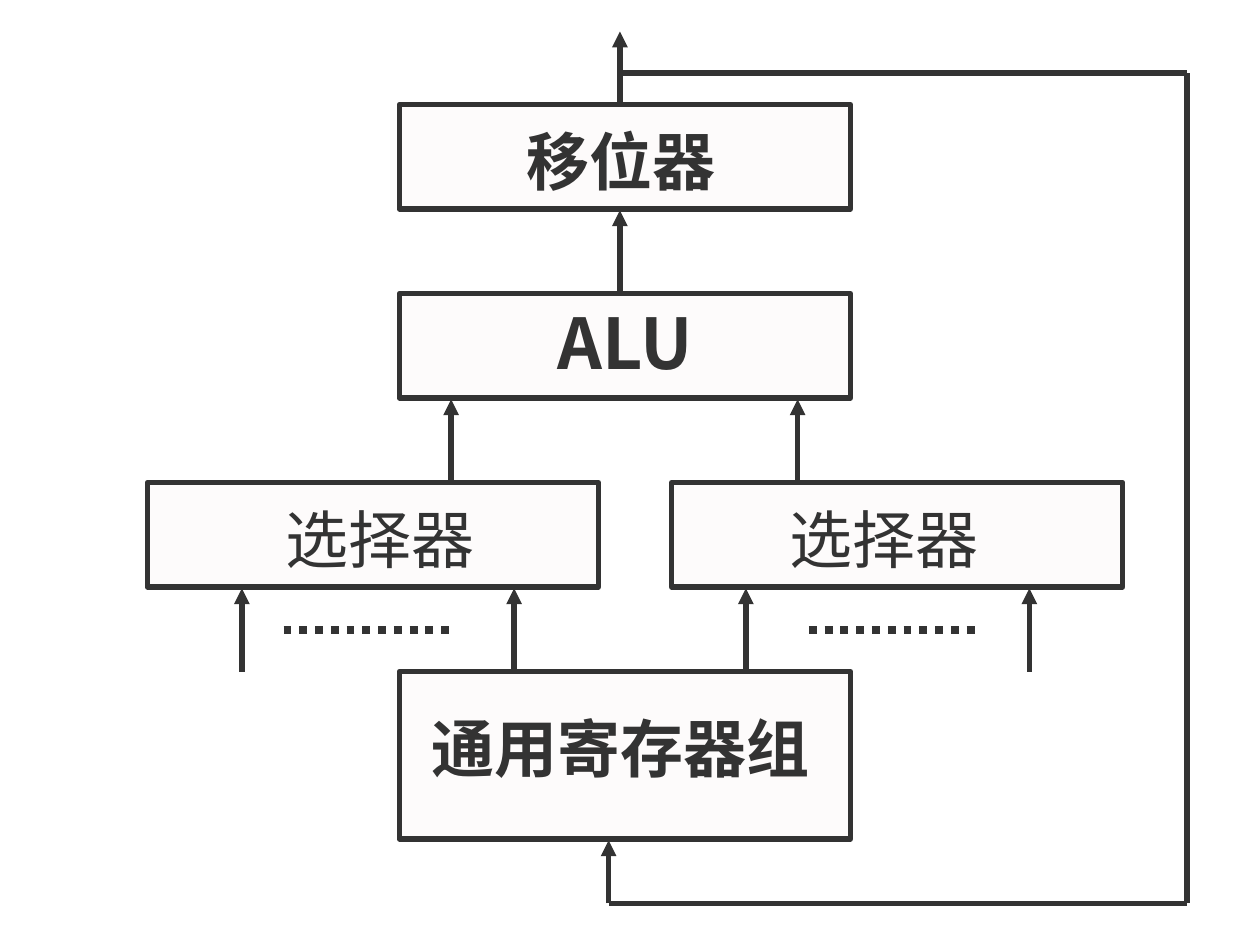
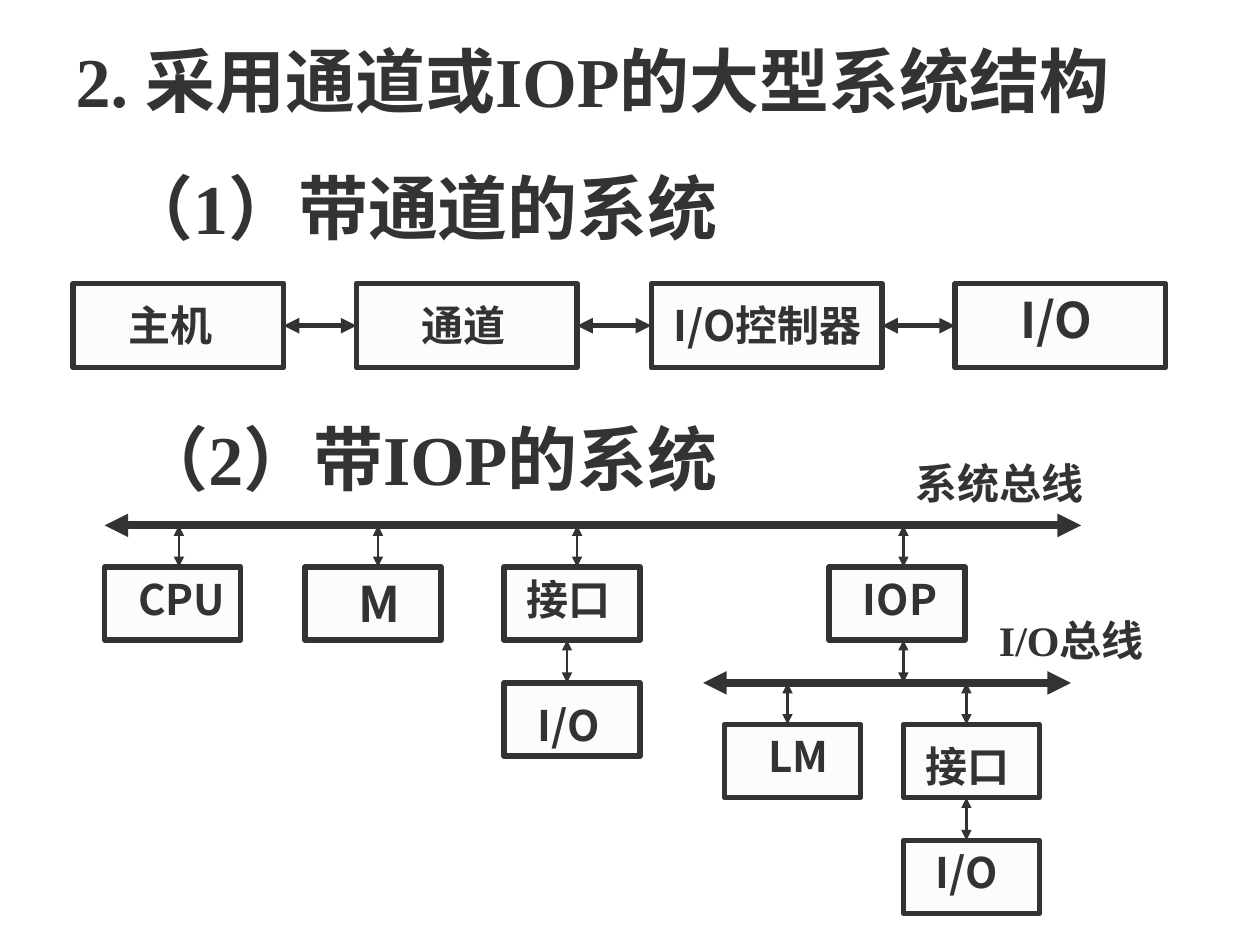
from lxml import etree
from pptx import Presentation
from pptx.dml.color import RGBColor
from pptx.enum import dml, shapes, text
from pptx.oxml.ns import qn
from pptx.util import Inches, Pt

INK, PAPER = "333333", "FDFBFB"
SERIF, SANS = "Times New Roman", "Noto Sans CJK SC"

UNIT_W, UNIT_H = 3.58, 0.83
SHIFTER_Y, ALU_Y, SELECTOR_Y, REGISTERS_Y = [0.83 + 1.5 * row for row in range(4)]
DATAPATH_UNITS = [
    (3.17, SHIFTER_Y, UNIT_H), (3.17, ALU_Y, UNIT_H),
    (1.17, SELECTOR_Y, UNIT_H), (5.33, SELECTOR_Y, UNIT_H),
    (3.17, REGISTERS_Y, 1.33),
]
DATAPATH_LABELS = [
    ("移位器", 4.08, 0.92, 3.25, 36, SERIF, True),
    ("ALU", 4.33, 2.33, 2.92, 40, SANS, True),
    ("选择器", 2.17, 3.92, 3.17, 36, SERIF, False),
    ("选择器", 6.17, 3.92, 3.17, 36, SERIF, False),
    ("通用寄存器组", 3.33, 5.58, 3.33, 36, SERIF, True),
]
UPWARD_FLOWS = [
    (REGISTERS_Y, 4.67, [1.92, 4.08, 5.92, 8.17]),
    (SELECTOR_Y, 3.17, [3.58, 6.33]),
    (ALU_Y, 1.67, [4.92]),
    (SHIFTER_Y, 0.25, [4.92]),
    (7.17, 6.67, [4.83]),
]
FEEDBACK_PATH = [(4.92, 0.58), (9.42, 0.58), (9.42, 7.17), (4.83, 7.17)]
ELLIPSIS_STARTS = [2.25, 6.42]

TITLE = "2. 采用通道或IOP的大型系统结构"
SYSTEM_HEADINGS = [
    ("（1）带通道的系统", 0.88, 1.26, 5.92, 40, SERIF),
    ("（2）带IOP的系统", 1, 3.25, 5.92, 40, SERIF),
]
CHANNEL_CHAIN = [(0.58, 1.67), (2.83, 1.75), (5.17, 1.83), (7.58, 1.67)]
CHANNEL_LABELS = [
    ("主机", 0.92, 2.33, 1.17, 24, SERIF),
    ("通道", 3.25, 2.33, 1.17, 24, SERIF),
    ("I/O控制器", 5.25, 2.33, 1.83, 24, SANS),
    ("I/O", 8, 2.25, 1.17, 28, SANS),
]
NODE_W, NODE_H = 1.08, 0.58
IOP_NODES = [
    (0.83, 4.5), (2.42, 4.5), (4, 4.5), (6.58, 4.5), (4, 5.42),
    (5.75, 5.75), (7.17, 5.75), (7.17, 6.67),
]
IOP_LABELS = [
    ("CPU", 1, 4.5, 0.92, 24, SANS),
    ("M", 2.75, 4.5, 0.58, 28, SANS),
    ("接口", 4.08, 4.5, 0.92, 24, SANS),
    ("I/O", 4.17, 5.5, 0.92, 24, SANS),
    ("IOP", 6.75, 4.5, 0.92, 24, SANS),
    ("LM", 6, 5.75, 0.92, 24, SANS),
    ("接口", 7.25, 5.83, 0.92, 24, SANS),
    ("I/O", 7.33, 6.67, 0.92, 24, SANS),
    ("系统总线", 7.17, 3.58, 1.83, 24, SERIF),
    ("I/O总线", 7.83, 4.83, 1.83, 24, SERIF),
]
BUSES = [(0.83, 8.58, 4.17), (5.58, 8.5, 5.42)]
BUS_TAPS = [
    (4.17, 4.5, [1.42, 3, 4.58, 7.17]),
    (5.08, 5.42, [4.5, 7.17]),
    (5.42, 5.75, [6.25, 7.67]),
    (6.33, 6.67, [7.67]),
]


def colour(value):
    return RGBColor.from_string(value)


def add_box(slide, x, y, width, height):
    box = slide.shapes.add_shape(shapes.MSO_SHAPE.RECTANGLE, *map(Inches, (x, y, width, height)))
    box.shadow.inherit = False
    box.fill.solid()
    box.fill.fore_color.rgb = colour(PAPER)
    box.line.color.rgb = colour(INK)
    box.line.width = Pt(3)
    return box


def write(frame, words, size, face, bold):
    frame.word_wrap = True
    frame.auto_size = text.MSO_AUTO_SIZE.NONE
    frame.vertical_anchor = text.MSO_ANCHOR.TOP
    paragraph = frame.paragraphs[0]
    paragraph.text = words
    paragraph.alignment = text.PP_ALIGN.LEFT
    font = paragraph.font
    font.size, font.bold, font.name = Pt(size), bold, face
    font.color.rgb = colour(INK)
    defaults = paragraph._p.pPr.find(qn("a:defRPr"))
    etree.SubElement(defaults, qn("a:ea"), typeface=SANS)


def add_label(slide, words, x, y, width, size, face, bold=True):
    height = size / 60 + 0.1
    label = slide.shapes.add_textbox(*map(Inches, (x, y, width, height)))
    write(label.text_frame, words, size, face, bold)


def add_line(slide, start, end, weight=3, ends=(), dash=None):
    line = slide.shapes.add_connector(shapes.MSO_CONNECTOR.STRAIGHT, *map(Inches, (*start, *end)))
    line.line.color.rgb = colour(INK)
    line.line.width = Pt(weight)
    if dash:
        line.line.dash_style = dash
    outline = line.line._get_or_add_ln()
    for end_name in ends:
        etree.SubElement(outline, qn(f"a:{end_name}"), type="triangle")
    etree.SubElement(line._element.spPr, qn("a:effectLst"))
    return line


def build_datapath(slide):
    for x, y, height in DATAPATH_UNITS:
        add_box(slide, x, y, UNIT_W, height)
    for label in DATAPATH_LABELS:
        add_label(slide, *label)
    for bottom, top, columns in UPWARD_FLOWS:
        for x in columns:
            add_line(slide, (x, bottom), (x, top), ends=["tailEnd"])
    for start, end in zip(FEEDBACK_PATH, FEEDBACK_PATH[1:]):
        add_line(slide, start, end)
    for x in ELLIPSIS_STARTS:
        add_line(slide, (x, 5), (x + 1.33, 5), 4.5, dash=dml.MSO_LINE.ROUND_DOT)


def build_large_systems(slide):
    both = ["headEnd", "tailEnd"]
    title = slide.shapes.title
    title.left, title.top, title.width, title.height = map(Inches, (0.5, 0.25, 9.25, 0.77))
    write(title.text_frame, TITLE, 40, SERIF, True)
    chain = [add_box(slide, x, 2.25, width, 0.67) for x, width in CHANNEL_CHAIN]
    for left, right in zip(chain, chain[1:]):
        link = add_line(slide, (0, 0), (1, 0), ends=both)
        link.begin_connect(left, 3)
        link.end_connect(right, 1)
    for x, y in IOP_NODES:
        add_box(slide, x, y, NODE_W, NODE_H)
    for label in SYSTEM_HEADINGS + CHANNEL_LABELS + IOP_LABELS:
        add_label(slide, *label)
    for left, right, y in BUSES:
        add_line(slide, (left, y), (right, y), 4.5, both)
    for top, bottom, columns in BUS_TAPS:
        for x in columns:
            add_line(slide, (x, top), (x, bottom), 1.5, both)


def main():
    deck = Presentation()
    deck.slide_width, deck.slide_height = Inches(10), Inches(7.5)
    title_only, blank = deck.slide_layouts[5], deck.slide_layouts[6]
    build_datapath(deck.slides.add_slide(blank))
    build_large_systems(deck.slides.add_slide(title_only))
    deck.save("out.pptx")


if __name__ == "__main__":
    main()
